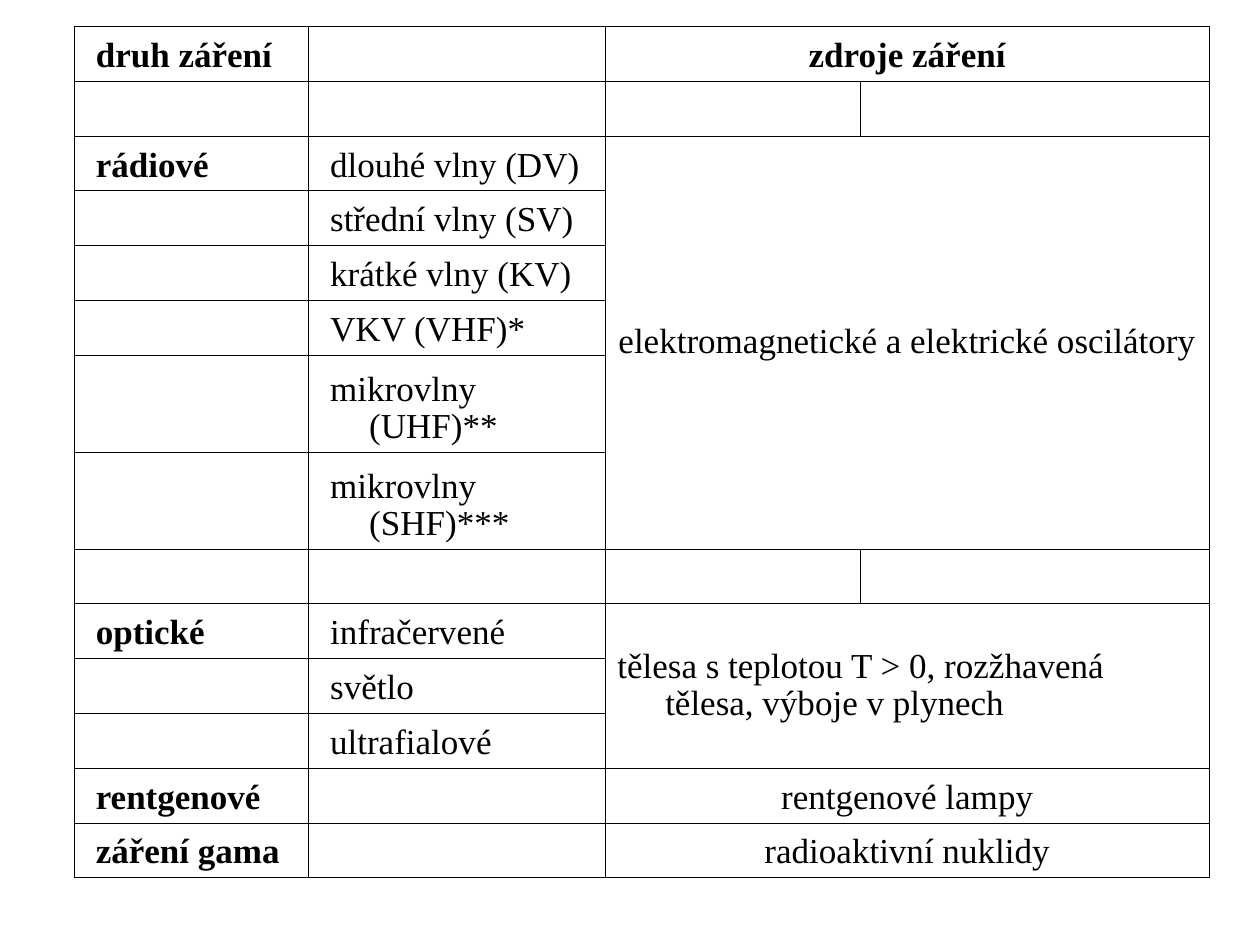
from lxml.etree import SubElement
from pptx import Presentation
from pptx.dml.color import RGBColor
from pptx.enum.text import MSO_ANCHOR, PP_ALIGN
from pptx.oxml.ns import qn
from pptx.util import Inches, Pt

BLACK = RGBColor(0, 0, 0)
HANGING = Inches(0.38)
LABEL_INSET = Inches(0.07)
COLUMN_WIDTHS = [1.86, 2.35, 2.03, 2.77]
TALL_ROWS = {6, 7}
TALL_HEIGHT = Inches(0.77)
FONT = {"name": "Times New Roman", "size": Pt(20)}

RADIATION = [
    ("druh záření", ""),
    ("", ""),
    ("rádiové", "dlouhé vlny (DV)"),
    ("", "střední vlny (SV)"),
    ("", "krátké vlny (KV)"),
    ("", "VKV (VHF)*"),
    ("", "mikrovlny (UHF)**"),
    ("", "mikrovlny (SHF)***"),
    ("", ""),
    ("optické", "infračervené"),
    ("", "světlo"),
    ("", "ultrafialové"),
    ("rentgenové", ""),
    ("záření gama", ""),
]

SOURCES = [
    (0, 0, "zdroje záření", PP_ALIGN.CENTER, True),
    (2, 7, "elektromagnetické a elektrické oscilátory", PP_ALIGN.CENTER, False),
    (9, 11, "tělesa s teplotou T > 0, rozžhavená tělesa, výboje v plynech",
     PP_ALIGN.LEFT, False),
    (12, 12, "rentgenové lampy", PP_ALIGN.CENTER, False),
    (13, 13, "radioaktivní nuklidy", PP_ALIGN.CENTER, False),
]


def outline_cell(cell):
    """Give a cell thin black borders and no fill."""
    properties = cell._tc.get_or_add_tcPr()
    for side in ("a:lnL", "a:lnR", "a:lnT", "a:lnB"):
        border = SubElement(properties, qn(side), w=str(Pt(0.34)))
        paint = SubElement(border, qn("a:solidFill"))
        SubElement(paint, qn("a:srgbClr"), val=str(BLACK))
    cell.fill.background()


def write_cell(cell, text, align=PP_ALIGN.LEFT, bold=False, inset=0,
               anchor=MSO_ANCHOR.BOTTOM):
    """Write one hanging paragraph into a cell."""
    cell.text = text
    cell.vertical_anchor = anchor
    paragraph = cell.text_frame.paragraphs[0]
    paragraph.alignment = align
    paragraph.line_spacing = 0.95
    properties = paragraph._p.get_or_add_pPr()
    properties.set("marL", str(HANGING))
    properties.set("indent", str(inset - HANGING))
    font = paragraph.runs[0].font
    for attribute, value in {**FONT, "bold": bold}.items():
        setattr(font, attribute, value)
    font.color.rgb = BLACK


def add_radiation_table(slide, left, top, width, height):
    """Build the table of radiation kinds and their sources in the given box."""
    table = slide.shapes.add_table(
        len(RADIATION), len(COLUMN_WIDTHS), left, top, width, height).table
    table.first_row = table.horz_banding = False
    for column, column_width in zip(table.columns, COLUMN_WIDTHS):
        column.width = Inches(column_width)
    plain_rows = len(RADIATION) - len(TALL_ROWS)
    plain_height = (height - len(TALL_ROWS) * TALL_HEIGHT) // plain_rows
    for index, row in enumerate(table.rows):
        row.height = TALL_HEIGHT if index in TALL_ROWS else plain_height
    for cell in table.iter_cells():
        outline_cell(cell)
    for row, labels in enumerate(RADIATION):
        for column, label in enumerate(labels):
            if label:
                write_cell(table.cell(row, column), label,
                           bold=column == 0, inset=LABEL_INSET)
    for first, last, source, align, bold in SOURCES:
        cell = table.cell(first, 2)
        cell.merge(table.cell(last, 3))
        anchor = MSO_ANCHOR.MIDDLE if last > first else MSO_ANCHOR.BOTTOM
        write_cell(cell, source, align, bold, anchor=anchor)


def main():
    """Create the presentation and save it."""
    presentation = Presentation()
    presentation.slide_width = Inches(10)
    presentation.slide_height = Inches(7.5)
    slide = presentation.slides.add_slide(presentation.slide_layouts[6])
    add_radiation_table(slide, Inches(0.59), Inches(0.21), Inches(9.01), Inches(6.76))
    presentation.save("out.pptx")


if __name__ == "__main__":
    main()
